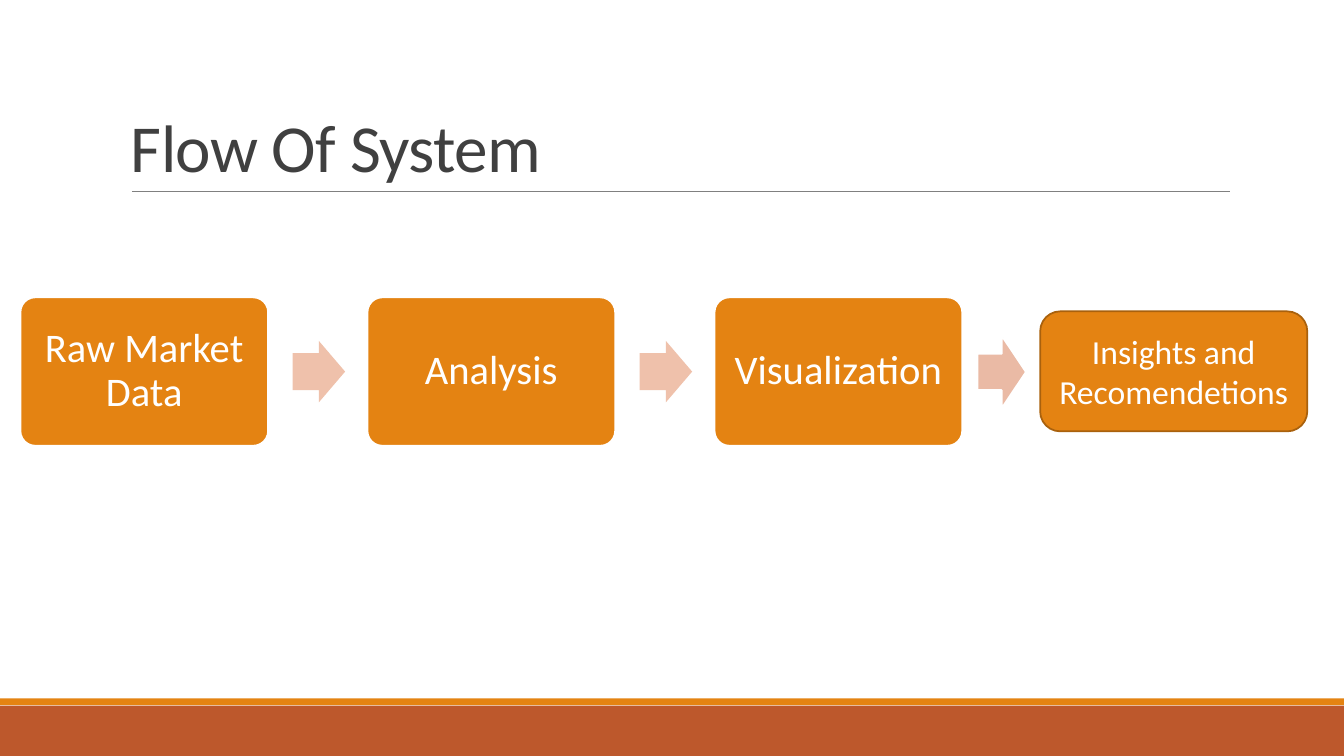
from dataclasses import dataclass
from typing import Optional

from lxml.etree import SubElement
from pptx import Presentation
from pptx.dml.color import RGBColor
from pptx.enum.shapes import MSO_CONNECTOR, MSO_SHAPE
from pptx.enum.text import MSO_ANCHOR, PP_ALIGN
from pptx.oxml.ns import qn
from pptx.util import Pt

COLORS = {
    "orange": "E48312",
    "rust": "BD582C",
    "brown": "A9610D",
    "peach": "EFC1AB",
    "rose": "EABAA5",
    "gray": "808080",
    "charcoal": "404040",
    "white": "FFFFFF",
}
FONT = "Calibri"
SLIDE_WIDTH, SLIDE_HEIGHT = 960, 540
STEP_LEFT, STEP_PITCH = 14.6, 247.9
STEP_NAMES = ["Raw Market Data", "Analysis", "Visualization"]


@dataclass
class Block:
    left: float
    top: float
    width: float
    height: float
    fill: str
    kind: MSO_SHAPE = MSO_SHAPE.RECTANGLE
    line: Optional[str] = None
    adjustments: tuple[float, ...] = ()


def color(name: str) -> RGBColor:
    return RGBColor.from_string(COLORS[name])


def draw_block(slide, block: Block):
    shape = slide.shapes.add_shape(
        block.kind, Pt(block.left), Pt(block.top), Pt(block.width), Pt(block.height)
    )
    shape.shadow.inherit = False
    shape.fill.solid()
    shape.fill.fore_color.rgb = color(block.fill)
    if block.line:
        shape.line.color.rgb = color(block.line)
        shape.line.width = Pt(1.25)
    else:
        shape.line.fill.background()
    for index, value in enumerate(block.adjustments):
        shape.adjustments[index] = value
    return shape


def write_text(shape, text: str, *, size: float, font_color: str = "white",
               align=PP_ALIGN.CENTER, anchor=MSO_ANCHOR.MIDDLE,
               line_spacing: float = 1.0, inset: Optional[float] = None,
               letter_spacing: float = 0) -> None:
    frame = shape.text_frame
    frame.word_wrap = True
    frame.vertical_anchor = anchor
    if inset is not None:
        frame.margin_left = frame.margin_right = Pt(inset)
        frame.margin_top = frame.margin_bottom = Pt(inset)
    paragraph = frame.paragraphs[0]
    paragraph.alignment = align
    paragraph.line_spacing = line_spacing
    run = paragraph.add_run()
    run.text = text
    run.font.name = FONT
    run.font.size = Pt(size)
    run.font.color.rgb = color(font_color)
    if letter_spacing:
        run._r.get_or_add_rPr().set("spc", str(round(letter_spacing * 100)))


def draw_rule(slide, left: float, right: float, top: float) -> None:
    rule = slide.shapes.add_connector(
        MSO_CONNECTOR.STRAIGHT, Pt(left), Pt(top), Pt(right), Pt(top)
    )
    rule.line.color.rgb = color("gray")
    rule.line.width = Pt(0.5)
    SubElement(rule._element.spPr, qn("a:effectLst"))


def main() -> None:
    presentation = Presentation()
    presentation.slide_width = Pt(SLIDE_WIDTH)
    presentation.slide_height = Pt(SLIDE_HEIGHT)
    slide = presentation.slides.add_slide(presentation.slide_layouts[6])

    # Footer bands
    draw_block(slide, Block(0, 504, SLIDE_WIDTH, 36, "rust"))
    draw_block(slide, Block(0, 498.8, SLIDE_WIDTH, 5, "orange"))

    # Title and rule
    draw_rule(slide, 94.2, 878.9, 136.8)
    title = slide.shapes.add_textbox(Pt(86.4), Pt(22.5), Pt(792), Pt(114.3))
    write_text(title, "Flow Of System", size=48, font_color="charcoal",
               align=PP_ALIGN.LEFT, anchor=MSO_ANCHOR.BOTTOM,
               line_spacing=0.85, letter_spacing=-0.5)

    # Steps, with an arrow between neighbours
    for index, name in enumerate(STEP_NAMES):
        left = STEP_LEFT + index * STEP_PITCH
        step = draw_block(slide, Block(left, 212.4, 176.9, 106, "orange",
                                       MSO_SHAPE.ROUNDED_RECTANGLE, "white", (0.1,)))
        write_text(step, name, size=29, line_spacing=0.9, inset=8.7)
        if index < len(STEP_NAMES) - 1:
            draw_block(slide, Block(left + 194.4, 243.5, 37.5, 43.9, "peach",
                                    MSO_SHAPE.RIGHT_ARROW, adjustments=(0.6, 0.5)))

    # Outcome and the arrow leading to it
    outcome = draw_block(slide, Block(743, 222.4, 190.8, 85.7, "orange",
                                      MSO_SHAPE.ROUNDED_RECTANGLE, "brown"))
    write_text(outcome, "Insights and Recomendetions", size=24)
    draw_block(slide, Block(698.2, 239.8, 34.6, 51.8, "rose",
                            MSO_SHAPE.RIGHT_ARROW, "white"))

    presentation.save("out.pptx")


if __name__ == "__main__":
    main()
